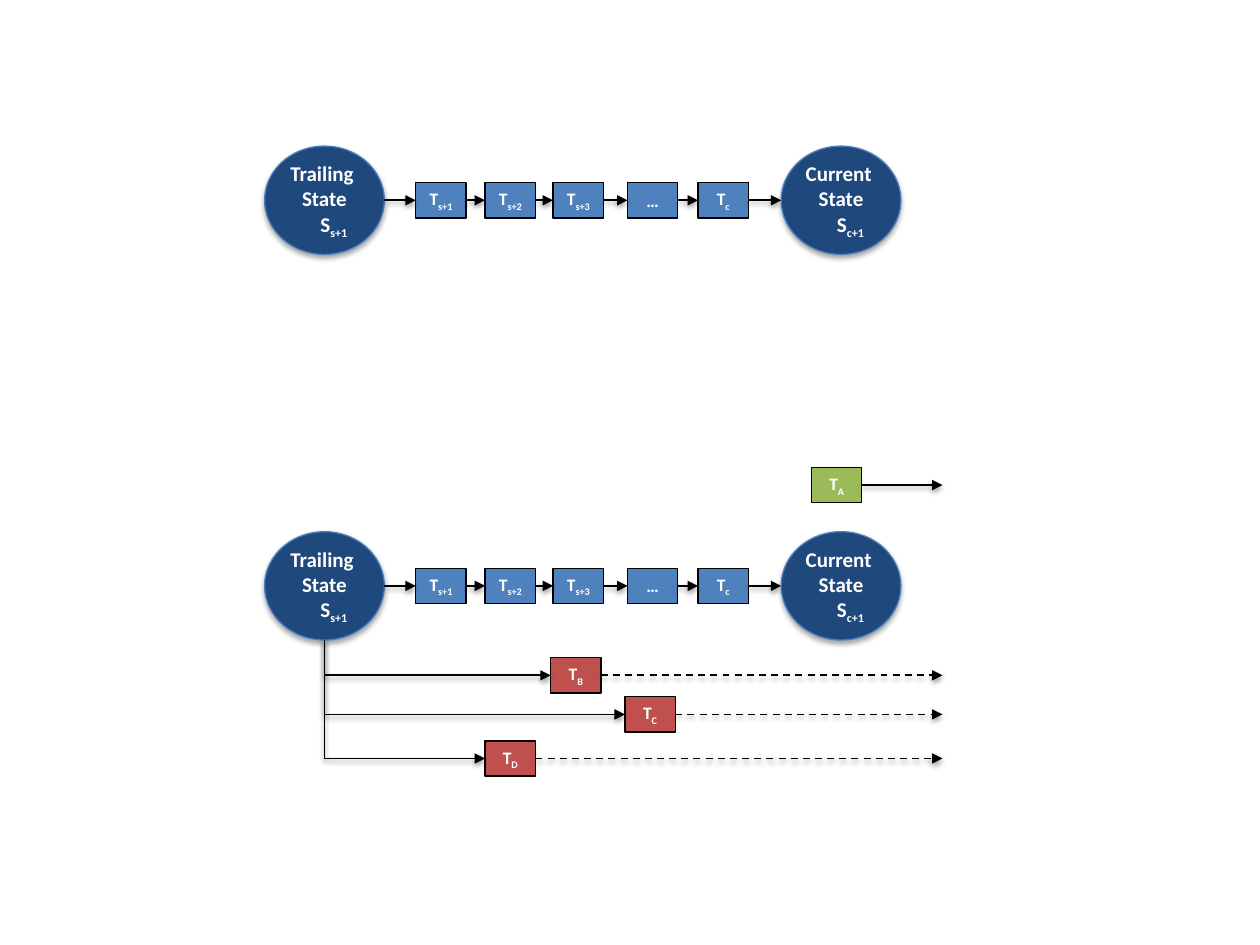
from dataclasses import dataclass

import pptx
import pptx.dml.color
import pptx.enum.dml
import pptx.enum.shapes
import pptx.enum.text
import pptx.oxml
import pptx.oxml.ns
import pptx.util
from pptx.util import Inches

NAVY = pptx.dml.color.RGBColor(0x1F, 0x49, 0x7D)
NAVY_EDGE = pptx.dml.color.RGBColor(0x4B, 0x7E, 0xBC)
BLUE = pptx.dml.color.RGBColor(0x4F, 0x81, 0xBD)
RED = pptx.dml.color.RGBColor(0xC0, 0x50, 0x4D)
GREEN = pptx.dml.color.RGBColor(0x9B, 0xBB, 0x59)
BLACK = pptx.dml.color.RGBColor(0, 0, 0)
WHITE = pptx.dml.color.RGBColor(255, 255, 255)

FONT = "Calibri"
STATE_WIDTH, STATE_HEIGHT = 0.95, 0.86
STEP_WIDTH, STEP_HEIGHT = 0.4, 0.28
ARROW_END = 7.48
TOP, LEFT, BOTTOM, RIGHT = range(4)
PRESETS = pptx.enum.shapes.MSO_SHAPE
CONNECTORS = pptx.enum.shapes.MSO_CONNECTOR


@dataclass
class State:
    name: str
    index: str
    left: float


@dataclass
class Step:
    letter: str
    index: str
    left: float
    top: float = 0


TRAILING = State("Trailing ", "s+1", 2.1)
CURRENT = State("Current ", "c+1", 6.2)
CHAIN = [
    Step("T", "s+1", 3.3),
    Step("T", "s+2", 3.85),
    Step("T", "s+3", 4.39),
    Step("…", "", 4.98),
    Step("T", "c", 5.54),
]
BRANCHES = [
    Step("T", "B", 4.37, 5.22),
    Step("T", "C", 4.96, 5.53),
    Step("T", "D", 3.85, 5.88),
]
ARRIVING = Step("T", "A", 6.44, 3.71)


def add_shadow(effects, alpha: int, distance: float) -> None:
    """Put a soft downward shadow into an effect list."""
    effects.append(pptx.oxml.parse_xml(
        f'<a:outerShdw {pptx.oxml.ns.nsdecls("a")} blurRad="{pptx.util.Pt(3.1)}" '
        f'dist="{pptx.util.Pt(distance)}" dir="5400000" rotWithShape="0">'
        f'<a:srgbClr val="000000"><a:alpha val="{alpha * 1000}"/></a:srgbClr>'
        '</a:outerShdw>'))


def add_span(para, text: str, size: int, subscript: bool = False) -> None:
    span = para.add_run()
    span.text = text
    span.font.name = FONT
    span.font.size = pptx.util.Pt(size)
    span.font.bold = True
    span.font.color.rgb = WHITE
    if subscript:
        span._r.get_or_add_rPr().set("baseline", "-25000")


def add_box(page, preset, left: float, top: float, width: float, height: float, fill, edge):
    box = page.shapes.add_shape(
        preset, Inches(left), Inches(top), Inches(width), Inches(height))
    box.fill.solid()
    box.fill.fore_color.rgb = fill
    box.line.color.rgb = edge
    box.line.width = pptx.util.Pt(0.75)
    box.shadow.inherit = False
    box.text_frame.vertical_anchor = pptx.enum.text.MSO_ANCHOR.MIDDLE
    box.text_frame.paragraphs[0].alignment = pptx.enum.text.PP_ALIGN.CENTER
    return box


def add_state(page, state: State, top: float):
    box = add_box(page, PRESETS.OVAL, state.left, top,
                  STATE_WIDTH, STATE_HEIGHT, NAVY, NAVY_EDGE)
    add_shadow(box._element.spPr.find(pptx.oxml.ns.qn("a:effectLst")), 35, 1.8)
    frame = box.text_frame
    frame.word_wrap = False
    para = frame.paragraphs[0]
    add_span(para, state.name, 12)
    para.add_line_break()
    add_span(para, "State", 12)
    symbol = frame.add_paragraph()
    symbol.alignment = pptx.enum.text.PP_ALIGN.CENTER
    symbol._p.get_or_add_pPr().set("marL", str(Inches(0.15)))
    add_span(symbol, "S", 12)
    add_span(symbol, state.index, 12, subscript=True)
    return box


def add_step(page, step: Step, top: float, fill):
    box = add_box(page, PRESETS.RECTANGLE, step.left, top,
                  STEP_WIDTH, STEP_HEIGHT, fill, BLACK)
    frame = box.text_frame
    frame.word_wrap = True
    frame.margin_left = frame.margin_right = Inches(0.05)
    frame.margin_top = frame.margin_bottom = Inches(0.02)
    add_span(frame.paragraphs[0], step.letter, 10)
    if step.index:
        add_span(frame.paragraphs[0], step.index, 10, subscript=True)
    return box


def join(connector, end: str, box, side: int) -> None:
    """Attach one end; ovals have eight sites, so their side numbers double."""
    if end == "begin":
        connector.begin_connect(box, side)
    else:
        connector.end_connect(box, side)
    if box.auto_shape_type == PRESETS.OVAL:
        tag = "a:stCxn" if end == "begin" else "a:endCxn"
        connector._element.xpath(f".//{tag}")[0].set("idx", str(side * 2))


def style_arrow(connector, dashed: bool = False) -> None:
    connector.line.color.rgb = BLACK
    connector.line.width = pptx.util.Pt(1)
    if dashed:
        connector.line.dash_style = pptx.enum.dml.MSO_LINE.DASH
    namespace = pptx.oxml.ns.nsdecls("a")
    connector.line._get_or_add_ln().append(
        pptx.oxml.parse_xml(f'<a:tailEnd {namespace} type="triangle"/>'))
    effects = pptx.oxml.parse_xml(f"<a:effectLst {namespace}/>")
    connector._element.spPr.append(effects)
    add_shadow(effects, 38, 1.6)


def add_arrow(page, source, target) -> None:
    """Join the right side of one box to the left side of the next."""
    connector = page.shapes.add_connector(CONNECTORS.STRAIGHT, 0, 0, 0, 0)
    join(connector, "begin", source, RIGHT)
    join(connector, "end", target, LEFT)
    middle = target.top + target.height // 2
    connector.begin_y = connector.end_y = middle
    style_arrow(connector)


def add_exit_arrow(page, source, dashed: bool) -> None:
    middle = source.top + source.height // 2
    connector = page.shapes.add_connector(
        CONNECTORS.STRAIGHT, source.left + source.width, middle, Inches(ARROW_END), middle)
    join(connector, "begin", source, RIGHT)
    style_arrow(connector, dashed)


def add_branch_arrow(page, source, target) -> None:
    """Go down from the source, then right into the target."""
    connector = page.shapes.add_connector(CONNECTORS.ELBOW, 0, 0, 0, 0)
    join(connector, "begin", source, BOTTOM)
    join(connector, "end", target, LEFT)
    across, down = connector.width, connector.height
    center_x, center_y = connector.left + across // 2, connector.top + down // 2
    # A single-bend connector is a flipped outline turned by 270 degrees
    connector.left, connector.top = center_x - down // 2, center_y - across // 2
    connector.width, connector.height = down, across
    properties = connector._element.spPr
    properties.find(pptx.oxml.ns.qn("a:prstGeom")).set("prst", "bentConnector2")
    frame = properties.find(pptx.oxml.ns.qn("a:xfrm"))
    frame.set("rot", "16200000")
    frame.set("flipH", "1")
    style_arrow(connector)


def add_state_row(page, top: float):
    """Draw both states and the chain between them; return the trailing state."""
    trailing = add_state(page, TRAILING, top)
    current = add_state(page, CURRENT, top)
    step_top = top + (STATE_HEIGHT - STEP_HEIGHT) / 2
    steps = [add_step(page, step, step_top, BLUE) for step in CHAIN]
    for source, target in zip([trailing, *steps], [*steps, current]):
        add_arrow(page, source, target)
    return trailing


def main() -> None:
    deck = pptx.Presentation()
    deck.slide_width, deck.slide_height = Inches(10), Inches(7.5)
    page = deck.slides.add_slide(deck.slide_layouts[6])

    # State rows
    add_state_row(page, 1.16)
    trailing = add_state_row(page, 4.22)

    # Branches from the lower trailing state
    for branch in BRANCHES:
        box = add_step(page, branch, branch.top, RED)
        add_branch_arrow(page, trailing, box)
        add_exit_arrow(page, box, dashed=True)

    # Arriving transaction
    arriving = add_step(page, ARRIVING, ARRIVING.top, GREEN)
    add_exit_arrow(page, arriving, dashed=False)

    deck.save("out.pptx")


if __name__ == "__main__":
    main()
